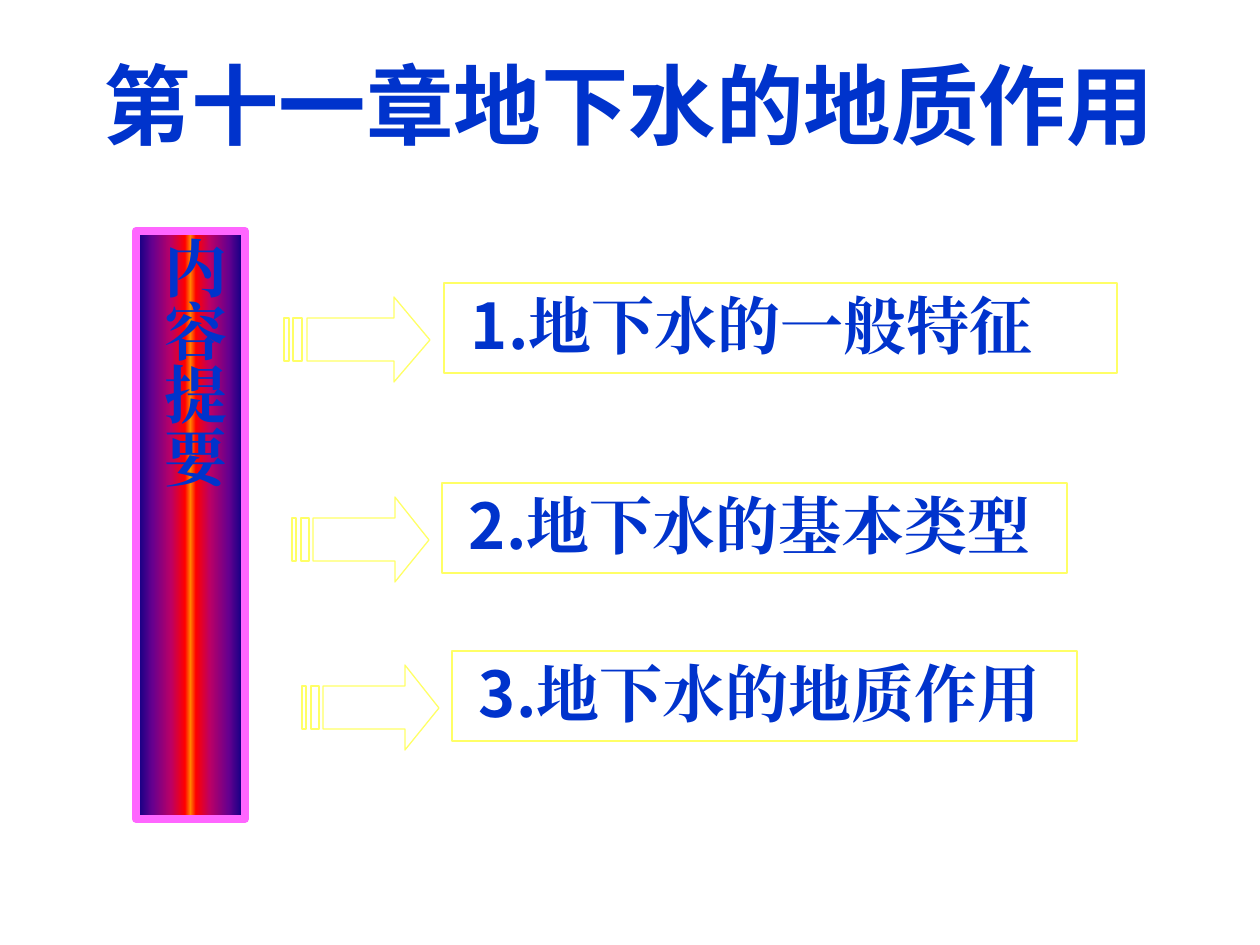
from dataclasses import dataclass

from lxml import etree
from pptx import Presentation
from pptx.dml.color import RGBColor
from pptx.enum.shapes import MSO_SHAPE
from pptx.enum.text import MSO_ANCHOR, MSO_AUTO_SIZE, PP_ALIGN
from pptx.oxml.ns import qn
from pptx.util import Emu, Pt

RECTANGLE = MSO_SHAPE.RECTANGLE
TOP, MIDDLE = MSO_ANCHOR.TOP, MSO_ANCHOR.MIDDLE
LEFT, CENTER = PP_ALIGN.LEFT, PP_ALIGN.CENTER
GROW = MSO_AUTO_SIZE.SHAPE_TO_FIT_TEXT
FIXED = MSO_AUTO_SIZE.NONE
TITLE_ONLY = 5
EMU_PER_PX = 914400 / 126


@dataclass(frozen=True)
class Theme:
    text: str = "0033CC"
    paper: str = "FFFFFF"
    outline: str = "FFFF66"
    banner_outline: str = "FF66FF"
    banner_half: tuple = ((0, "000082"), (15, "66008F"), (32, "BA0066"), (45, "FF0000"))
    banner_middle: str = "FF8200"
    title_font: str = "Montserrat"
    number_font: str = "Noto Sans CJK SC"
    body_font: str = "Times New Roman"
    title_size: int = 50
    body_size: int = 36
    thin: float = 0.75
    thick: float = 4.5


THEME = Theme()

# Each topic: number, text, arrow (left, width), box (left, top, width)
TOPICS = (
    ("1.", "地下水的一般特征", (284, 146), (444, 283, 673)),
    ("2.", "地下水的基本类型", (292, 137), (442, 483, 625)),
    ("3.", "地下水的地质作用", (302, 137), (452, 651, 625)),
)
TOPIC_HEIGHT = 90
ARROW_DROP, ARROW_HEIGHT = 14, 85


def px(length):
    return Emu(round(length * EMU_PER_PX))


def add_text(paragraph, text, font, size=THEME.body_size, color=THEME.text, align=LEFT):
    paragraph.alignment = align
    run = paragraph.add_run()
    run.text = text
    run.font.name = font
    run.font.size = Pt(size)
    run.font.bold = True
    run.font.color.rgb = RGBColor.from_string(color)
    east_asian = etree.SubElement(run.font._element, qn("a:ea"))
    east_asian.set("typeface", font)


def set_frame(frame, anchor, auto_size=FIXED, insets=(13, 6, 13, 6)):
    frame.word_wrap = True
    frame.vertical_anchor = anchor
    frame.auto_size = auto_size
    (frame.margin_left, frame.margin_top,
     frame.margin_right, frame.margin_bottom) = map(px, insets)


def outline(shape, color, width):
    shape.shadow.inherit = False
    shape.line.color.rgb = RGBColor.from_string(color)
    shape.line.width = Pt(width)


def paint_plain(shape):
    shape.fill.solid()
    shape.fill.fore_color.rgb = RGBColor.from_string(THEME.paper)
    outline(shape, THEME.outline, THEME.thin)


def paint_banner(shape):
    """Horizontal gradient, mirrored about its middle stop."""
    shape.fill.gradient()
    shape.fill.gradient_angle = 0
    mirrored = [(100 - place, color) for place, color in reversed(THEME.banner_half)]
    stops = [*THEME.banner_half, (50, THEME.banner_middle), *mirrored]
    stop_list = shape._element.spPr.find(qn("a:gradFill")).find(qn("a:gsLst"))
    for stop in list(stop_list):
        stop_list.remove(stop)
    for place, color in stops:
        stop = etree.SubElement(stop_list, qn("a:gs"), pos=str(place * 1000))
        etree.SubElement(stop, qn("a:srgbClr"), val=color)
    outline(shape, THEME.banner_outline, THEME.thick)


def add_title(slide, left, top, width, height):
    title = slide.shapes.title
    title.left, title.top, title.width, title.height = map(px, (left, top, width, height))
    set_frame(title.text_frame, MIDDLE)
    add_text(title.text_frame.paragraphs[0], "第十一章地下水的地质作用",
             THEME.title_font, size=THEME.title_size, align=CENTER)


def add_banner(slide, left, top, width, height):
    banner = slide.shapes.add_shape(RECTANGLE, *map(px, (left, top, width, height)))
    paint_banner(banner)
    set_frame(banner.text_frame, TOP, auto_size=GROW)
    banner.text_frame._txBody.bodyPr.set("vert", "eaVert")
    add_text(banner.text_frame.paragraphs[0], "内容提要", THEME.body_font, align=CENTER)


def add_striped_arrow(slide, left, top, width, height):
    """Arrow with two tail stripes, set out in 32nds of its width."""
    def point(column, quarter):
        return left + width * column / 32, top + height * quarter / 4

    head = [(24, 0), (24, 1), (5, 1), (5, 3), (24, 3), (24, 4), (32, 2)]
    stripes = [[(start, 1), (start, 3), (end, 3), (end, 1)]
               for start, end in ((2, 4), (0, 1))]
    builder = slide.shapes.build_freeform(*point(*head[0]), scale=EMU_PER_PX)
    for contour in (head, *stripes):
        if contour is not head:
            builder.move_to(*point(*contour[0]))
        builder.add_line_segments([point(*corner) for corner in contour[1:]], close=True)
    paint_plain(builder.convert_to_shape())


def add_topic(slide, number, text, arrow, box):
    left, top, width = box
    shape = slide.shapes.add_shape(RECTANGLE, *map(px, (left, top, width, TOPIC_HEIGHT)))
    paint_plain(shape)
    set_frame(shape.text_frame, MIDDLE, insets=(27, 0, 0, 8))
    paragraph = shape.text_frame.paragraphs[0]
    add_text(paragraph, number, THEME.number_font)
    add_text(paragraph, text, THEME.body_font)
    arrow_left, arrow_width = arrow
    add_striped_arrow(slide, arrow_left, top + ARROW_DROP, arrow_width, ARROW_HEIGHT)


def main():
    presentation = Presentation()
    presentation.slide_width, presentation.slide_height = px(1260), px(945)
    slide = presentation.slides.add_slide(presentation.slide_layouts[TITLE_ONLY])
    add_title(slide, 44, 45, 1170, 117)
    add_banner(slide, 136, 231, 109, 588)
    for topic in TOPICS:
        add_topic(slide, *topic)
    presentation.save("out.pptx")


if __name__ == "__main__":
    main()
